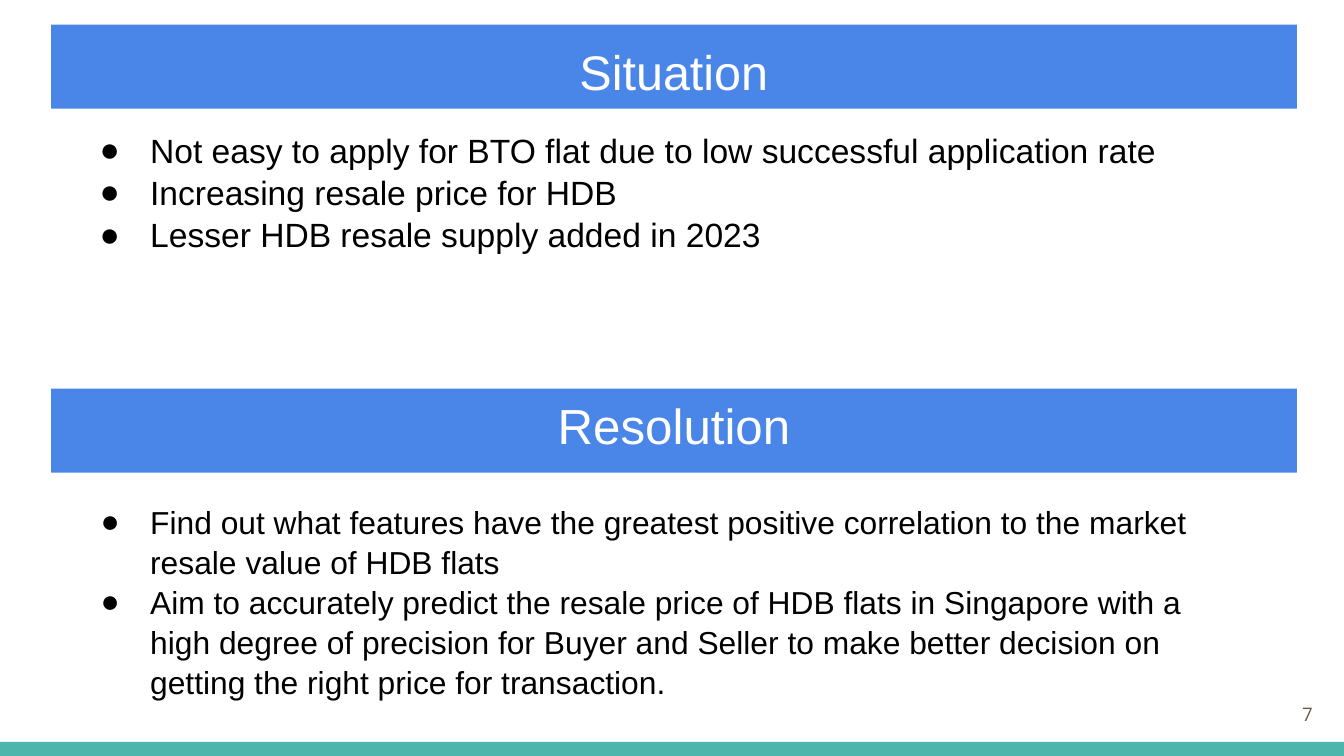
from dataclasses import dataclass

from lxml import etree
from pptx import Presentation
from pptx import util as u
from pptx.dml.color import RGBColor
from pptx.enum import shapes, text
from pptx.oxml.ns import qn


@dataclass(frozen=True)
class Theme:
    header: str = "4A86E8"
    footer: str = "4DB6AC"
    light: str = "FFFFFF"
    ink: str = "000000"
    muted: str = "695D46"
    font: str = "Arial"
    number_font: str = "Open Sans"
    number_size: float = 10


THEME = Theme()
MIDDLE = text.MSO_ANCHOR.MIDDLE
INSET = 7.2
INDENT = 36


def points(*lengths):
    return [u.Pt(length) for length in lengths]


def add_bullet(paragraph, hang):
    props = paragraph._p.get_or_add_pPr()
    props.set("marL", str(u.Pt(INDENT)))
    props.set("indent", str(-u.Pt(hang)))
    color = etree.SubElement(props, qn("a:buClr"))
    etree.SubElement(color, qn("a:srgbClr"), val=THEME.ink)
    etree.SubElement(props, qn("a:buFont"), typeface=THEME.font)
    etree.SubElement(props, qn("a:buChar"), char="●")


def write(shape, lines, size, color=THEME.ink, font=THEME.font,
          align=text.PP_ALIGN.LEFT, anchor=text.MSO_ANCHOR.TOP,
          spacing=1.0, hang=None):
    frame = shape.text_frame
    frame.word_wrap = True
    frame.vertical_anchor = anchor
    frame.margin_left = frame.margin_right = u.Pt(INSET)
    frame.margin_top = frame.margin_bottom = u.Pt(INSET)
    for index, line in enumerate(lines):
        paragraph = frame.paragraphs[0] if index == 0 else frame.add_paragraph()
        paragraph.alignment = align
        paragraph.line_spacing = spacing
        if hang is not None:
            add_bullet(paragraph, hang)
        run = paragraph.add_run()
        run.text = line
        run.font.size = u.Pt(size)
        run.font.name = font
        run.font.color.rgb = RGBColor.from_string(color)


def add_bar(slide, box, color):
    bar = slide.shapes.add_shape(shapes.MSO_SHAPE.RECTANGLE, *points(*box))
    bar.shadow.inherit = False
    bar.fill.solid()
    bar.fill.fore_color.rgb = RGBColor.from_string(color)
    bar.line.fill.background()
    return bar


def add_section(slide, box, title, title_size, title_spacing,
                bullets, bullet_size, gap, hang):
    left, top, width, height = box
    header_height = 45
    header = add_bar(slide, (left, top, width, header_height), THEME.header)
    write(header, [title], title_size, color=THEME.light, anchor=MIDDLE,
          align=text.PP_ALIGN.CENTER, spacing=title_spacing)
    offset = header_height + gap
    body = slide.shapes.add_textbox(
        *points(left + 10, top + offset, width - 44, height - offset))
    write(body, bullets, bullet_size, spacing=1.05, hang=hang)


def add_footer(slide, box, number):
    left, top, width, height = box
    add_bar(slide, box, THEME.footer)
    page = slide.shapes.add_textbox(
        *points(left + width - 52.8, top - 30.3, 43.2, 31))
    write(page, [number], THEME.number_size, color=THEME.muted,
          font=THEME.number_font, align=text.PP_ALIGN.RIGHT, anchor=MIDDLE)


def main():
    deck = Presentation()
    deck.slide_width, deck.slide_height = points(720, 405)
    slide = deck.slides.add_slide(deck.slide_layouts[6])
    add_footer(slide, (0, 397.5, 720, 7.5), "7")
    add_section(
        slide, (27.4, 13.2, 667.4, 130), "Situation", 26, 1.15,
        ["Not easy to apply for BTO flat due to low successful application rate",
         "Increasing resale price for HDB",
         "Lesser HDB resale supply added in 2023"],
        18, gap=3, hang=27)
    add_section(
        slide, (27.4, 208.2, 667.4, 173), "Resolution", 26.4, 0.8,
        ["Find out what features have the greatest positive correlation to the "
         "market resale value of HDB flats",
         "Aim to accurately predict the resale price of HDB flats in Singapore "
         "with a high degree of precision for Buyer and Seller to make better "
         "decision on getting the right price for transaction."],
        17, gap=7.8, hang=26.6)
    deck.save("out.pptx")


if __name__ == "__main__":
    main()
